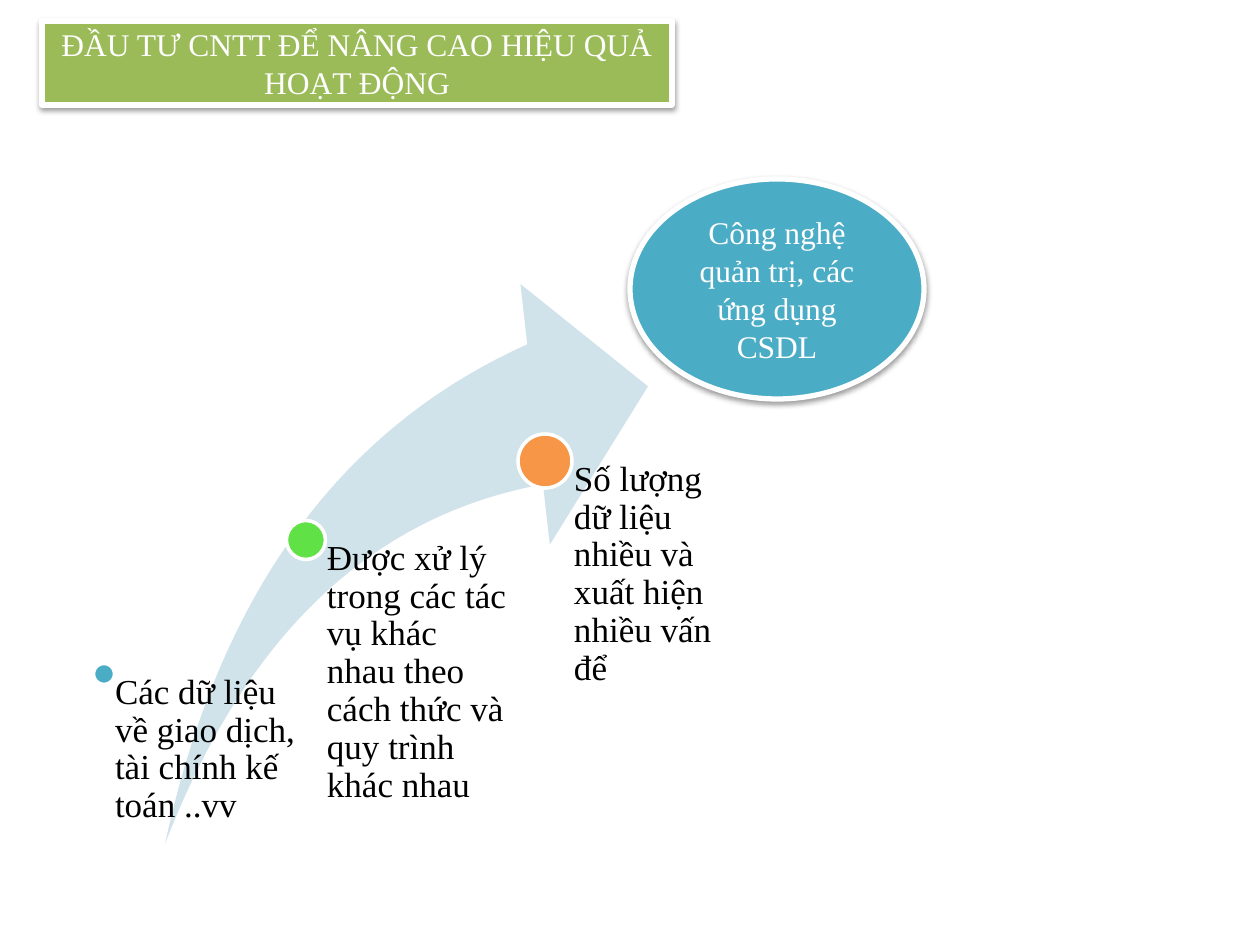
from dataclasses import dataclass

from lxml.etree import SubElement
from pptx import Presentation
from pptx.dml.color import RGBColor as Rgb
from pptx.enum.shapes import MSO_SHAPE as Preset
from pptx.enum.text import MSO_ANCHOR as Anchor, PP_ALIGN as Align
from pptx.oxml.ns import qn
from pptx.util import Emu, Pt


@dataclass(frozen=True)
class Theme:
    """Colours, font and type sizes of the slide."""
    font: str = "Times New Roman"
    paper: str = "FFFFFF"
    ink: str = "000000"
    green: str = "9BBB59"
    aqua: str = "4BACC6"
    lime: str = "60E146"
    orange: str = "F79646"
    swoosh: str = "D0E3EA"
    heading_size: int = 18
    stage_size: int = 20


THEME = Theme()
SCALE = 914400 / 126


def px(length):
    """Turn a length in px into EMU."""
    return Emu(round(length * SCALE))


def assign(target, values):
    """Set each named attribute of the target."""
    for name, value in values.items():
        setattr(target, name, value)


def write(frame, wording, size, colour, frame_format, paragraph_format):
    """Put one formatted paragraph into a text frame."""
    assign(frame, {"word_wrap": True, **frame_format})
    paragraph = frame.paragraphs[0]
    assign(paragraph, paragraph_format)
    run = paragraph.add_run()
    run.text = wording
    assign(run.font, {"name": THEME.font, "size": Pt(size)})
    run.font.color.rgb = Rgb.from_string(colour)


def draw(shapes, preset, box, fill, outline=0):
    """Add a filled preset shape, with a white outline if a width is given."""
    shape = shapes.add_shape(preset, *map(px, box))
    shape.shadow.inherit = False
    shape.fill.solid()
    shape.fill.fore_color.rgb = Rgb.from_string(fill)
    if outline:
        shape.line.color.rgb = Rgb.from_string(THEME.paper)
        shape.line.width = Pt(outline)
    else:
        shape.line.fill.background()
    return shape


def cast_shadow(shape):
    """Give a shape a soft shadow straight below it."""
    effects = shape.element.spPr.find(qn("a:effectLst"))
    shadow = SubElement(effects, qn("a:outerShdw"), blurRad="40000",
                        dist="20000", dir="5400000", rotWithShape="0")
    tint = SubElement(shadow, qn("a:srgbClr"), val=THEME.ink)
    SubElement(tint, qn("a:alpha"), val="38000")


def add_heading(shapes, preset, box, fill, wording):
    """Place a raised shape with centred white wording."""
    heading = draw(shapes, preset, box, fill, outline=3)
    cast_shadow(heading)
    write(heading.text_frame, wording, THEME.heading_size, THEME.paper,
          {"vertical_anchor": Anchor.MIDDLE}, {"alignment": Align.CENTER})


def add_stage(shapes, centre, bottom, dot, fill, width, inset, wording):
    """Place a dot and the wording that hangs from its centre."""
    x, y = centre
    draw(shapes, Preset.OVAL, (x - dot / 2, y - dot / 2, dot, dot), fill, outline=2)
    label = shapes.add_textbox(*map(px, (x, y, width, bottom - y)))
    write(label.text_frame, wording, THEME.stage_size, THEME.ink,
          {"margin_left": px(inset), "margin_top": 0, "margin_right": 0,
           "margin_bottom": 0, "vertical_anchor": Anchor.TOP},
          {"line_spacing": 0.9, "space_after": Pt(7), "alignment": Align.LEFT})


def add_growth(slide, box):
    """Place the rising arrow and its three stages as one group."""
    left, top, width, height = box
    growth = slide.shapes.add_group_shape().shapes
    arrow = draw(growth, Preset.SWOOSH_ARROW,
                 (left + 75, top + 4, width - 75, height - 4), THEME.swoosh)
    for index in range(2):
        arrow.adjustments[index] = 0.25
    stages = [
        (14, 394, 21, THEME.aqua, 195, 11,
         "Các dữ liệu về giao dịch, tài chính kế toán ..vv"),
        (216, 260, 39, THEME.lime, 202, 21,
         "Được xử lý trong các tác vụ khác nhau theo cách thức và quy trình khác nhau"),
        (455, 181, 54, THEME.orange, 202, 29,
         "Số lượng dữ liệu nhiều và xuất hiện nhiều vấn để"),
    ]
    for x, y, *details in stages:
        add_stage(growth, (left + x, top + y), top + height - 18, *details)


def main():
    """Build the slide and save it."""
    deck = Presentation()
    assign(deck, {"slide_width": px(1260), "slide_height": px(945)})
    slide = deck.slides.add_slide(deck.slide_layouts[6])
    add_heading(slide.shapes, Preset.RECTANGLE, (42, 21, 630, 84), THEME.green,
                "ĐẦU TƯ CNTT ĐỂ NÂNG CAO HIỆU QUẢ HOẠT ĐỘNG")
    add_growth(slide, (90, 280, 558, 564))
    add_heading(slide.shapes, Preset.OVAL, (630, 179, 294, 220), THEME.aqua,
                "Công nghệ quản trị, các ứng dụng CSDL")
    deck.save("out.pptx")


if __name__ == "__main__":
    main()
